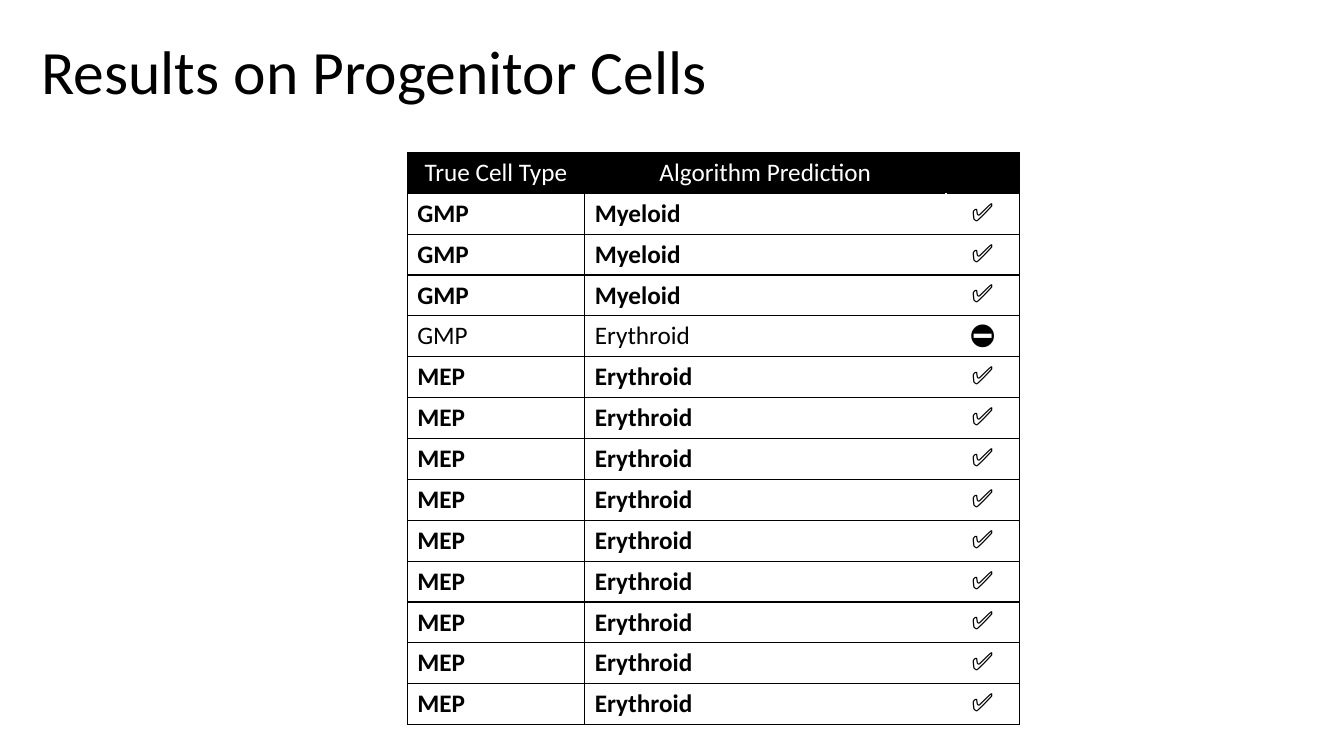
import lxml.etree
import pptx
import pptx.dml.color
import pptx.enum.text
import pptx.oxml.ns
import pptx.util

COLORS = {"ink": "000000", "paper": "FFFFFF"}
SLIDE_WIDTH = pptx.util.Inches(13.33)
SLIDE_HEIGHT = pptx.util.Inches(7.5)
ALIGN = pptx.enum.text.PP_ALIGN
HEADINGS = ("True Cell Type", "Algorithm Prediction", "")
RESULTS = (
    [("GMP", "Myeloid", "✅")] * 3
    + [("GMP", "Erythroid", "⛔️")]
    + [("MEP", "Erythroid", "✅")] * 9
)
COLUMN_SHARES = (0.29, 0.59, 0.12)
VERDICT = len(HEADINGS) - 1


def share_box(left, top, width, height):
    """Turn shares of the slide's size into a box of lengths."""
    return (
        round(left * SLIDE_WIDTH),
        round(top * SLIDE_HEIGHT),
        round(width * SLIDE_WIDTH),
        round(height * SLIDE_HEIGHT),
    )


def write(paragraph, words, color, alignment, **font_format):
    """Write words as one formatted run of the paragraph."""
    paragraph.alignment = alignment
    if not words:
        return
    run = paragraph.add_run()
    run.text = words
    for attribute, value in font_format.items():
        setattr(run.font, attribute, value)
    run.font.color.rgb = pptx.dml.color.RGBColor.from_string(COLORS[color])


def draw_borders(cell, side_colors):
    """Give the four sides of a cell one-point lines."""
    properties = cell._tc.get_or_add_tcPr()
    for position, (side, color) in enumerate(side_colors.items()):
        line = lxml.etree.Element(
            pptx.oxml.ns.qn(f"a:ln{side}"), w=str(pptx.util.Pt(1))
        )
        fill = lxml.etree.SubElement(line, pptx.oxml.ns.qn("a:solidFill"))
        lxml.etree.SubElement(
            fill, pptx.oxml.ns.qn("a:srgbClr"), val=COLORS[color]
        )
        properties.insert(position, line)


def fill_cell(cell, words, row, column):
    """Format a heading or result cell by its place in the table."""
    heading = row == 0
    verdict = column == VERDICT
    correct = not heading and RESULTS[row - 1][VERDICT] == "✅"
    cell.fill.solid()
    cell.fill.fore_color.rgb = pptx.dml.color.RGBColor.from_string(
        COLORS["ink" if heading else "paper"]
    )
    sides = dict.fromkeys("LRTB", "ink")
    if not heading and column > 0:
        sides["L" if verdict else "R"] = "paper"
    draw_borders(cell, sides)
    write(
        cell.text_frame.paragraphs[0],
        words,
        "paper" if heading else "ink",
        ALIGN.CENTER if heading or verdict else ALIGN.LEFT,
        name="Arial" if verdict else "Calibri",
        size=pptx.util.Pt(18),
        bold=correct and not verdict,
    )


def add_title(slide, box):
    """Place the slide title in the box."""
    title = slide.shapes.title
    for attribute, value in zip(("left", "top", "width", "height"), box):
        setattr(title, attribute, value)
    frame_format = {
        "word_wrap": True,
        "vertical_anchor": pptx.enum.text.MSO_ANCHOR.TOP,
        "auto_size": pptx.enum.text.MSO_AUTO_SIZE.NONE,
    }
    for attribute, value in frame_format.items():
        setattr(title.text_frame, attribute, value)
    heading = title.text_frame.paragraphs[0]
    heading.line_spacing = 0.9
    write(
        heading,
        "Results on Progenitor Cells",
        "ink",
        ALIGN.LEFT,
        name="Calibri",
        size=pptx.util.Pt(44),
    )


def add_results(slide, box):
    """Fill the box with the table of predictions."""
    lines = [HEADINGS] + RESULTS
    results = slide.shapes.add_table(len(lines), len(HEADINGS), *box).table
    results.first_row = False
    results.horz_banding = False
    for column, share in zip(results.columns, COLUMN_SHARES):
        column.width = round(share * box[2])
    for row, line in enumerate(lines):
        results.rows[row].height = box[3] // len(lines)
        for column, words in enumerate(line):
            fill_cell(results.cell(row, column), words, row, column)


def main():
    """Build and save the slide."""
    deck = pptx.Presentation()
    deck.slide_width = SLIDE_WIDTH
    deck.slide_height = SLIDE_HEIGHT
    slide = deck.slides.add_slide(deck.slide_layouts[5])
    add_title(slide, share_box(0.0233, 0.048, 0.863, 0.193))
    add_results(slide, share_box(0.303, 0.2015, 0.4555, 0.756))
    deck.save("out.pptx")


if __name__ == "__main__":
    main()
